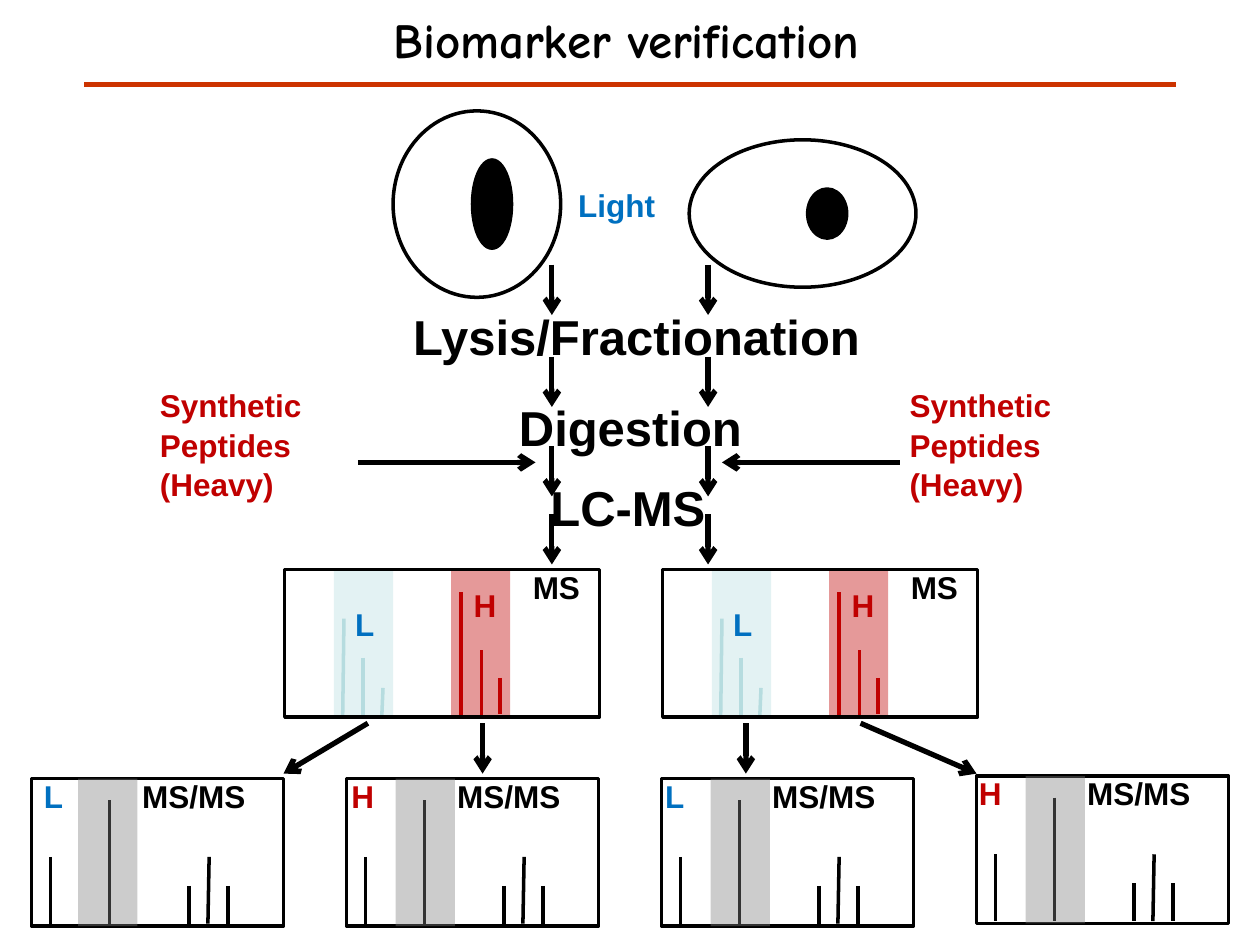
from lxml import etree
from pptx import Presentation
from pptx import util as u
from pptx.dml.color import RGBColor
from pptx.enum import shapes, text
from pptx.oxml.ns import qn

BLACK = RGBColor(0x00, 0x00, 0x00)
RED = RGBColor(0xC0, 0x00, 0x00)
BLUE = RGBColor(0x00, 0x70, 0xC0)
PALE = RGBColor(0xBB, 0xE0, 0xE3)
PALE_PEAK = RGBColor(0xB6, 0xDC, 0xDF)
GRAY = RGBColor(0x80, 0x80, 0x80)
RULE = RGBColor(0xCC, 0x33, 0x00)

PANEL_H = 1.17
BAND_W = 0.47
MS_TOP, MS_W, MSMS_W = 4.52, 2.5, 2

CELLS = [
    ((3.75, 1.27, 0.31, 0.7), (3.12, 0.88, 1.33, 1.48)),
    ((6.41, 1.5, 0.31, 0.39), (5.47, 1.11, 1.8, 1.17)),
]
STEPS = [
    ("Lysis/Fractionation", 3.18, 2.36, 3.82),
    ("Digestion", 4.02, 3.08, 1.99),
    ("LC-MS", 4.27, 3.72, 1.45),
]
STEP_ARROW_X = (4.38, 5.62)
STEP_ARROW_TOPS = (2.1, 2.83, 3.54, 4.08)
STEP_ARROW_LEN = 0.4
SPIKE_IN = ["Synthetic", "Peptides", "(Heavy)"]
SPIKE_LEFTS = (1.17, 7.12)
SIDE_ARROWS = [
    (2.84, 3.67, 4.25, 3.67),
    (7.14, 3.67, 5.73, 3.67),
    (2.92, 5.74, 2.25, 6.14),
    (3.83, 5.74, 3.83, 6.14),
    (5.92, 5.74, 5.92, 6.14),
    (6.83, 5.74, 7.75, 6.14),
]

MS_LEFTS = (2.26, 5.26)
HEAVY_PEAKS = [(1.4, 1.4, 0.18, 1.17), (1.56, 1.56, 0.64, 1.17), (1.71, 1.71, 0.86, 1.15)]
LIGHT_PEAKS = [(0.47, 0.46, 0.39, 1.17), (0.62, 0.62, 0.7, 1.17), (0.78, 0.77, 0.94, 1.17)]

MSMS_PANELS = [
    (0.25, 6.18, 0.37, "L", BLUE, 0),
    (2.75, 6.18, 0.39, "H", RED, -0.06),
    (5.25, 6.18, 0.39, "L", BLUE, -0.07),
    (7.75, 6.16, 0.39, "H", RED, -0.08),
]
MSMS_PEAKS = [
    (0.62, 0.62, 0.17, 1.15),
    (0.15, 0.15, 0.62, 1.15),
    (1.41, 1.4, 0.62, 1.15),
    (1.25, 1.25, 0.85, 1.15),
    (1.56, 1.56, 0.85, 1.15),
]

prs = Presentation()
prs.slide_width, prs.slide_height = u.Inches(10), u.Inches(7.5)
s = prs.slides.add_slide(prs.slide_layouts[6])


def add_shape(kind, box, fill=None, line=None, alpha=None):
    sp = s.shapes.add_shape(kind, *map(u.Inches, box))
    sp.shadow.inherit = False
    if fill is None:
        sp.fill.background()
    else:
        sp.fill.solid()
        sp.fill.fore_color.rgb = fill
    if alpha is not None:
        clr = sp._element.spPr.find(qn("a:solidFill")).find(qn("a:srgbClr"))
        etree.SubElement(clr, qn("a:alpha"), val=str(alpha * 1000))
    if line is None:
        sp.line.fill.background()
    else:
        sp.line.color.rgb = line
        sp.line.width = u.Pt(2)


def add_panel(left, top, width):
    add_shape(shapes.MSO_SHAPE.RECTANGLE, (left, top, width, PANEL_H), line=BLACK)


def add_band(left, top, color):
    add_shape(shapes.MSO_SHAPE.RECTANGLE, (left, top, BAND_W, PANEL_H), color, alpha=40)


def add_line(x1, y1, x2, y2, color=BLACK, width=2, arrow=False):
    c = s.shapes.add_connector(shapes.MSO_CONNECTOR.STRAIGHT, *map(u.Inches, (x1, y1, x2, y2)))
    c.line.color.rgb = color
    c.line.width = u.Pt(width)
    if arrow:
        etree.SubElement(c.line._get_or_add_ln(), qn("a:tailEnd"), type="arrow")
    etree.SubElement(c._element.spPr, qn("a:effectLst"))


def add_peaks(left, top, peaks, color=BLACK):
    for x1, x2, y1, y2 in peaks:
        add_line(left + x1, top + y1, left + x2, top + y2, color)


def add_text(lines, box, color=BLACK, size=18, font="Arial", align=text.PP_ALIGN.LEFT):
    tf = s.shapes.add_textbox(*map(u.Inches, box)).text_frame
    tf.word_wrap = True
    for i, line in enumerate(lines):
        p = tf.paragraphs[0] if i == 0 else tf.add_paragraph()
        p.text = line
        p.alignment = align
        p.line_spacing = 1.05
        p.font.name, p.font.size, p.font.bold = font, u.Pt(size), True
        p.font.color.rgb = color


def add_ms(left):
    add_peaks(left, MS_TOP, HEAVY_PEAKS, RED)
    add_text(["H"], (left + 1.4, MS_TOP + 0.07, 0.45, 0.51), RED)
    add_band(left + 1.32, MS_TOP, RED)
    add_band(left + 0.39, MS_TOP, PALE)
    add_peaks(left, MS_TOP, LIGHT_PEAKS, PALE_PEAK)
    add_text(["L"], (left + 0.46, MS_TOP + 0.22, 0.41, 0.51), BLUE)
    add_panel(left, MS_TOP, MS_W)
    add_text(["MS"], (left + 1.87, MS_TOP - 0.08, 0.71, 0.51))


def add_msms(left, top, band_dx, label, color, label_dx):
    add_panel(left, top, MSMS_W)
    add_text(["MS/MS"], (left + 0.78, top - 0.08, 1.3, 0.51))
    add_peaks(left, top, MSMS_PEAKS)
    add_band(left + band_dx, top, GRAY)
    add_text([label], (left + label_dx, top - 0.08, 0.45, 0.51), color)


for left in MS_LEFTS:
    add_ms(left)
for panel in MSMS_PANELS:
    add_msms(*panel)
for left in SPIKE_LEFTS:
    add_text(SPIKE_IN, (left, 3, 1.72, 1.31), RED)
add_text(["Light"], (4.49, 1.41, 1.02, 0.51), BLUE)
for ends in SIDE_ARROWS:
    add_line(*ends, width=3, arrow=True)
for step, left, top, width in STEPS:
    add_text([step], (left, top, width, 0.57), size=28)
for y in STEP_ARROW_TOPS:
    for x in STEP_ARROW_X:
        add_line(x, y, x, y + STEP_ARROW_LEN, width=3, arrow=True)
for nucleus, membrane in CELLS:
    add_shape(shapes.MSO_SHAPE.OVAL, nucleus, BLACK, BLACK)
    add_shape(shapes.MSO_SHAPE.OVAL, membrane, line=BLACK)
add_line(0.67, 0.67, 9.33, 0.67, RULE, 2.5)
add_text(["Biomarker verification"], (2.76, 0, 4.42, 0.57), size=28,
         font="Comic Neue", align=text.PP_ALIGN.CENTER)

prs.save("out.pptx")
